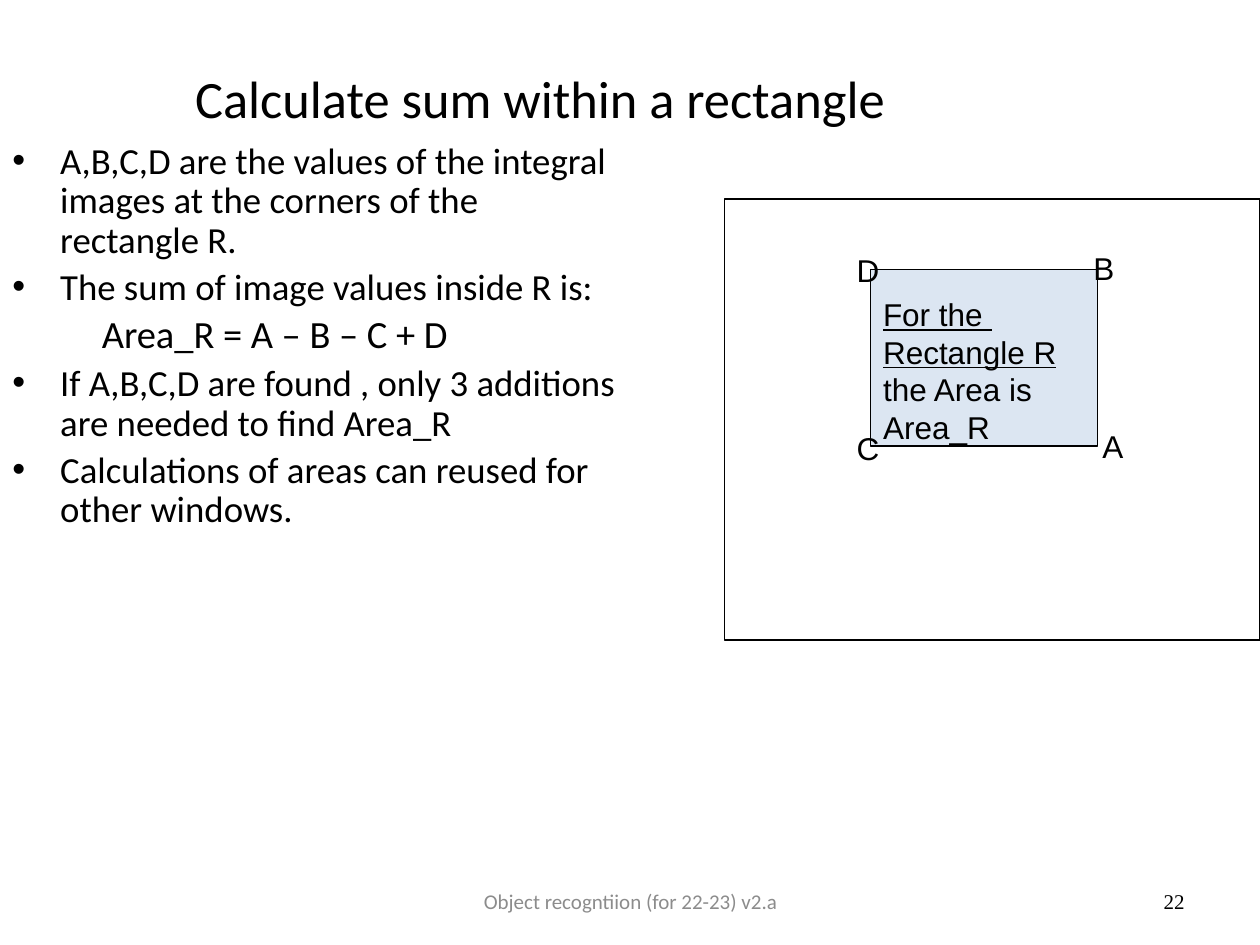
from lxml.etree import SubElement
from pptx import Presentation
from pptx.dml.color import RGBColor
from pptx.enum.shapes import MSO_SHAPE
from pptx.enum.text import MSO_ANCHOR, PP_ALIGN
from pptx.oxml.ns import qn
from pptx.util import Inches, Pt

BLACK = "000000"
GRAY = "8C8C8C"
PALE_BLUE = "DCE6F2"


def color(value):
    return RGBColor.from_string(value)


class SlideBuilder:
    heading_font = "Calibri"
    label_font = "Arial"
    number_font = "Times New Roman"

    def __init__(self, deck):
        self.slide = deck.slides.add_slide(deck.slide_layouts[5])
        self.diagram = self.slide.shapes.add_group_shape()

    def format_paragraph(self, para, font, size, fill=BLACK, align=PP_ALIGN.LEFT):
        para.font.name = font
        para.font.size = Pt(size)
        para.font.color.rgb = color(fill)
        para.alignment = align

    def title(self, text, left, top, width, height):
        box = self.slide.shapes.title
        box.left, box.top = Inches(left), Inches(top)
        box.width, box.height = Inches(width), Inches(height)
        frame = box.text_frame
        frame.text = text
        frame.vertical_anchor = MSO_ANCHOR.MIDDLE
        self.format_paragraph(frame.paragraphs[0], self.heading_font, 30, align=PP_ALIGN.CENTER)

    def text(self, lines, left, top, width, height, font, size, fill=BLACK,
             align=PP_ALIGN.LEFT, anchor=MSO_ANCHOR.TOP, wrap=True, shapes=None):
        shapes = shapes or self.slide.shapes
        box = shapes.add_textbox(Inches(left), Inches(top), Inches(width), Inches(height))
        frame = box.text_frame
        frame.word_wrap = wrap
        frame.vertical_anchor = anchor
        frame.text = "\n".join(lines)
        for para in frame.paragraphs:
            self.format_paragraph(para, font, size, fill, align)
        return frame.paragraphs

    def indent(self, para, margin, first_line=0, bullet=None):
        para.line_spacing = 0.9
        para.space_before = Pt(4.2)
        properties = para._p.get_or_add_pPr()
        properties.set("marL", str(Inches(margin)))
        properties.set("indent", str(Inches(first_line)))
        if bullet:
            SubElement(properties, qn("a:buFont"), typeface="Arial")
            SubElement(properties, qn("a:buChar"), char=bullet)

    def rectangle(self, left, top, width, height, fill=None):
        box = self.diagram.shapes.add_shape(
            MSO_SHAPE.RECTANGLE, Inches(left), Inches(top), Inches(width), Inches(height))
        box.shadow.inherit = False
        if fill:
            box.fill.solid()
            box.fill.fore_color.rgb = color(fill)
        else:
            box.fill.background()
        box.line.color.rgb = color(BLACK)
        box.line.width = Pt(0.75)

    def corner(self, letter, left, top):
        self.text([letter], left, top, 0.38, 0.4, self.label_font, 18,
                  wrap=False, shapes=self.diagram.shapes)


def main():
    deck = Presentation()
    deck.slide_width, deck.slide_height = Inches(10), Inches(7.5)
    page = SlideBuilder(deck)

    page.title("Calculate sum within a rectangle ", 0, 0.3, 8.67, 0.94)

    formula = "Area_R = A – B – C + D"
    points = [
        "A,B,C,D are the values of the integral images at the corners of the rectangle R.",
        "The sum of image values inside R is:",
        formula,
        "If A,B,C,D are found , only 3 additions are needed to find Area_R",
        "Calculations of areas can reused for other windows.",
    ]
    for para in page.text(points, 0, 1.08, 5, 6.42, page.heading_font, 21):
        if para.text == formula:
            para.font.size = Pt(22)
            page.indent(para, 0.71)
        else:
            page.indent(para, 0.38, -0.38, "•")

    page.rectangle(5.75, 1.58, 4.25, 3.5)
    page.rectangle(6.91, 2.14, 1.8, 1.4, PALE_BLUE)
    for letter, left, top in [("D", 6.7, 1.94), ("C", 6.7, 3.36),
                              ("A", 8.65, 3.34), ("B", 8.58, 1.93)]:
        page.corner(letter, left, top)

    caption = ["For the ", "Rectangle R", "the Area is Area_R"]
    caption_paras = page.text(caption, 6.91, 2.29, 2.21, 1.31, page.label_font, 18)
    for para in caption_paras[:2]:
        para.font.underline = True
        para.runs[0].font.underline = True

    page.text(["Object recogntiion (for 22-23) v2.a"], 3.42, 6.95, 3.17, 0.4,
              page.heading_font, 12, GRAY, PP_ALIGN.CENTER, MSO_ANCHOR.MIDDLE)
    page.text(["22"], 7.17, 6.95, 2.33, 0.4, page.number_font, 12,
              align=PP_ALIGN.RIGHT, anchor=MSO_ANCHOR.MIDDLE)

    deck.save("out.pptx")


if __name__ == "__main__":
    main()
